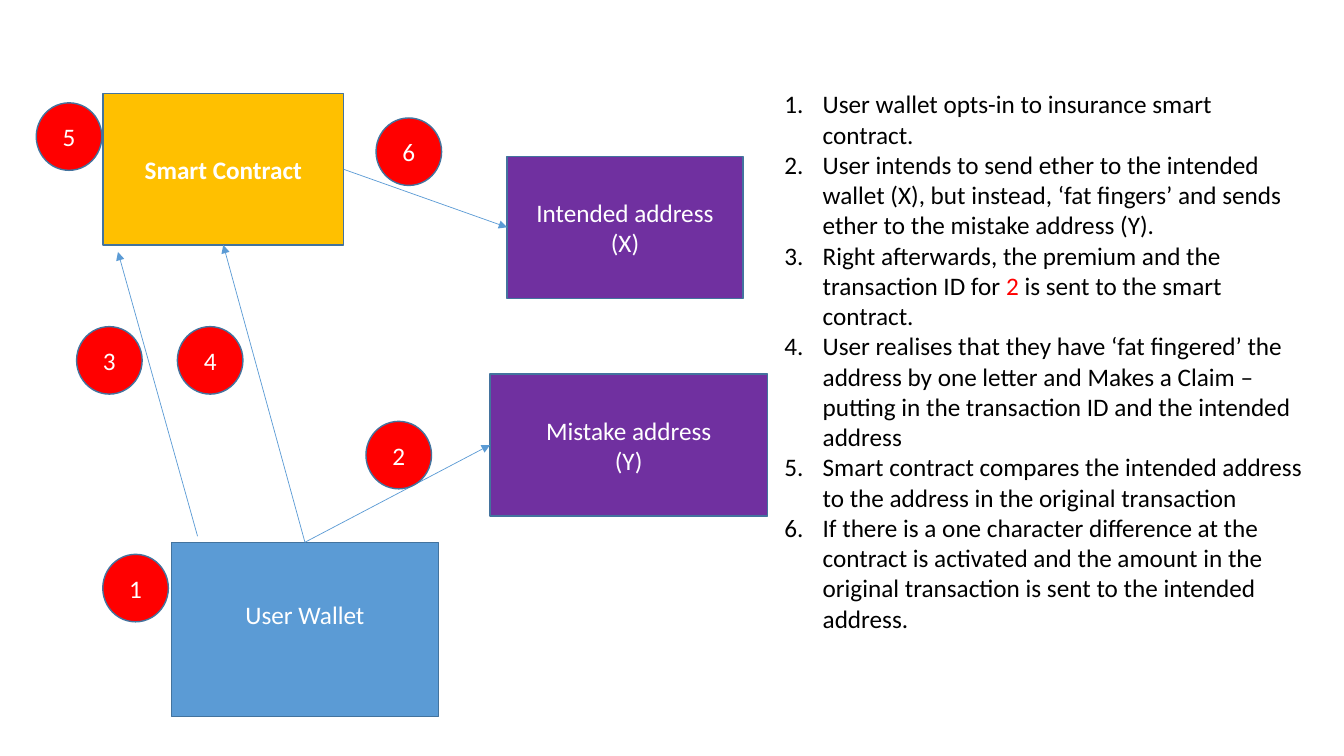
import dataclasses

import lxml.etree
import pptx
import pptx.dml.color
import pptx.enum.shapes
import pptx.enum.text
import pptx.oxml.ns
import pptx.util

SHAPES = pptx.enum.shapes.MSO_SHAPE
ALIGN = pptx.enum.text.PP_ALIGN
ANCHOR = pptx.enum.text.MSO_ANCHOR
WIDTH, HEIGHT = pptx.util.Inches(13.33), pptx.util.Inches(7.5)
TOP, LEFT, BOTTOM, RIGHT = range(4)  # connection sites of a rectangle


@dataclasses.dataclass(frozen=True)
class Theme:
    """Colours and type sizes of the slide."""
    font: str = "Calibri"
    size: int = 18
    wallet: str = "5B9BD5"
    contract: str = "FFC000"
    address: str = "7030A0"
    badge: str = "FF0000"
    outline: str = "43739E"
    arrow: str = "5B9BD5"
    light: str = "FFFFFF"
    dark: str = "000000"


THEME = Theme()

# Left, top, width, height in percent of the slide
BOXES = {
    "wallet": ("User Wallet", THEME.wallet, False, (12.75, 71.73, 19.88, 23.07)),
    "contract": ("Smart Contract", THEME.contract, True, (7.65, 12.4, 17.93, 20)),
    "intended": ("Intended address\n(X)", THEME.address, False, (37.73, 20.67, 17.55, 18.8)),
    "mistake": ("Mistake address\n(Y)", THEME.address, False, (36.46, 49.47, 20.63, 18.8)),
}
LINKS = [
    ("wallet", TOP, "mistake", LEFT),
    ("contract", RIGHT, "intended", LEFT),
    ("wallet", TOP, "contract", BOTTOM),
]
PREMIUM_ARROW = (14.7, 70.93, 8.78, 33.33)
BADGE_SIZE = (4.88, 8.93)
BADGES = [(7.65, 73.33), (27.23, 55.73), (5.7, 43.2), (13.2, 43.2), (2.7, 13.6), (27.98, 15.6)]
LIST_AREA = (57.61, 11.07, 40.06, 88.93)
# Each step is a list of runs; the odd runs are highlighted
STEPS = [
    ["User wallet opts-in to insurance smart contract."],
    ["User intends to send ether to the intended wallet (X), but instead, "
     "‘fat fingers’ and sends ether to the mistake address (Y)."],
    ["Right afterwards, the premium and the transaction ID for ", "2 ",
     "is sent to the smart contract."],
    ["User realises that they have ‘fat fingered’ the address by one letter and "
     "Makes a Claim – putting in the transaction ID and the intended address"],
    ["Smart contract compares the intended address to the address in the "
     "original transaction"],
    ["If there is a one character difference at the contract is activated and the "
     "amount in the original transaction is sent to the intended address."],
]


def apply(target, values):
    """Set attributes of an object from a dict."""
    for name, value in values.items():
        setattr(target, name, value)


def rgb(code):
    """Turn a hex code into a colour."""
    return pptx.dml.color.RGBColor.from_string(code)


def place(*shares):
    """Turn alternating x and y percentages into slide lengths."""
    return [round(share * (HEIGHT if index % 2 else WIDTH) / 100)
            for index, share in enumerate(shares)]


def style_font(font, colour, bold=False):
    """Give a font the theme's face and size."""
    apply(font, {"name": THEME.font, "size": pptx.util.Pt(THEME.size), "bold": bold})
    font.color.rgb = rgb(colour)


def add_node(slide, kind, text, fill, area, bold=False):
    """Add a filled shape with centred light text."""
    shape = slide.shapes.add_shape(kind, *place(*area))
    shape.shadow.inherit = False
    shape.fill.solid()
    shape.fill.fore_color.rgb = rgb(fill)
    shape.line.color.rgb = rgb(THEME.outline)
    shape.line.width = pptx.util.Pt(1)
    apply(shape.text_frame, {"text": text, "word_wrap": True, "vertical_anchor": ANCHOR.MIDDLE})
    for paragraph in shape.text_frame.paragraphs:
        paragraph.alignment = ALIGN.CENTER
        style_font(paragraph.runs[0].font, THEME.light, bold)
    return shape


def add_arrow(slide, ends=(0, 0, 0, 0)):
    """Add a thin straight arrow between two points."""
    connector = slide.shapes.add_connector(
        pptx.enum.shapes.MSO_CONNECTOR.STRAIGHT, *place(*ends))
    connector.line.color.rgb = rgb(THEME.arrow)
    connector.line.width = pptx.util.Pt(0.5)
    properties = connector._element.spPr
    qualify = pptx.oxml.ns.qn
    lxml.etree.SubElement(properties.get_or_add_ln(), qualify("a:tailEnd"), type="triangle")
    lxml.etree.SubElement(properties, qualify("a:effectLst"))
    return connector


def fill_numbered_list(placeholder, steps):
    """Move the body placeholder and write the numbered steps in it."""
    apply(placeholder, dict(zip(("left", "top", "width", "height"), place(*LIST_AREA))))
    frame = placeholder.text_frame
    apply(frame, {"word_wrap": True, "vertical_anchor": ANCHOR.TOP,
                  "auto_size": pptx.enum.text.MSO_AUTO_SIZE.NONE})
    indent = pptx.util.Inches(0.38)
    for number, runs in enumerate(steps):
        paragraph = frame.add_paragraph() if number else frame.paragraphs[0]
        apply(paragraph, {"alignment": ALIGN.LEFT, "space_before": pptx.util.Pt(0)})
        properties = paragraph._p.get_or_add_pPr()
        properties.set("marL", str(indent))
        properties.set("indent", str(-indent))
        lxml.etree.SubElement(properties, pptx.oxml.ns.qn("a:buFont"), typeface="+mj-lt")
        lxml.etree.SubElement(properties, pptx.oxml.ns.qn("a:buAutoNum"), type="arabicPeriod")
        for index, text in enumerate(runs):
            run = paragraph.add_run()
            run.text = text
            style_font(run.font, THEME.badge if index % 2 else THEME.dark)


def main():
    """Build the slide and save it."""
    presentation = pptx.Presentation()
    apply(presentation, {"slide_width": WIDTH, "slide_height": HEIGHT})
    slide = presentation.slides.add_slide(presentation.slide_layouts[1])
    title = slide.shapes.title._element
    title.getparent().remove(title)
    fill_numbered_list(slide.placeholders[1], STEPS)

    boxes = {name: add_node(slide, SHAPES.RECTANGLE, text, fill, area, bold)
             for name, (text, fill, bold, area) in BOXES.items()}
    boxes["wallet"].text_frame.margin_bottom = pptx.util.Inches(0.35)

    add_arrow(slide, PREMIUM_ARROW)
    for source, source_site, target, target_site in LINKS:
        arrow = add_arrow(slide)
        arrow.begin_connect(boxes[source], source_site)
        arrow.end_connect(boxes[target], target_site)

    for number, corner in enumerate(BADGES, start=1):
        add_node(slide, SHAPES.OVAL, str(number), THEME.badge, corner + BADGE_SIZE)

    presentation.save("out.pptx")


main()
